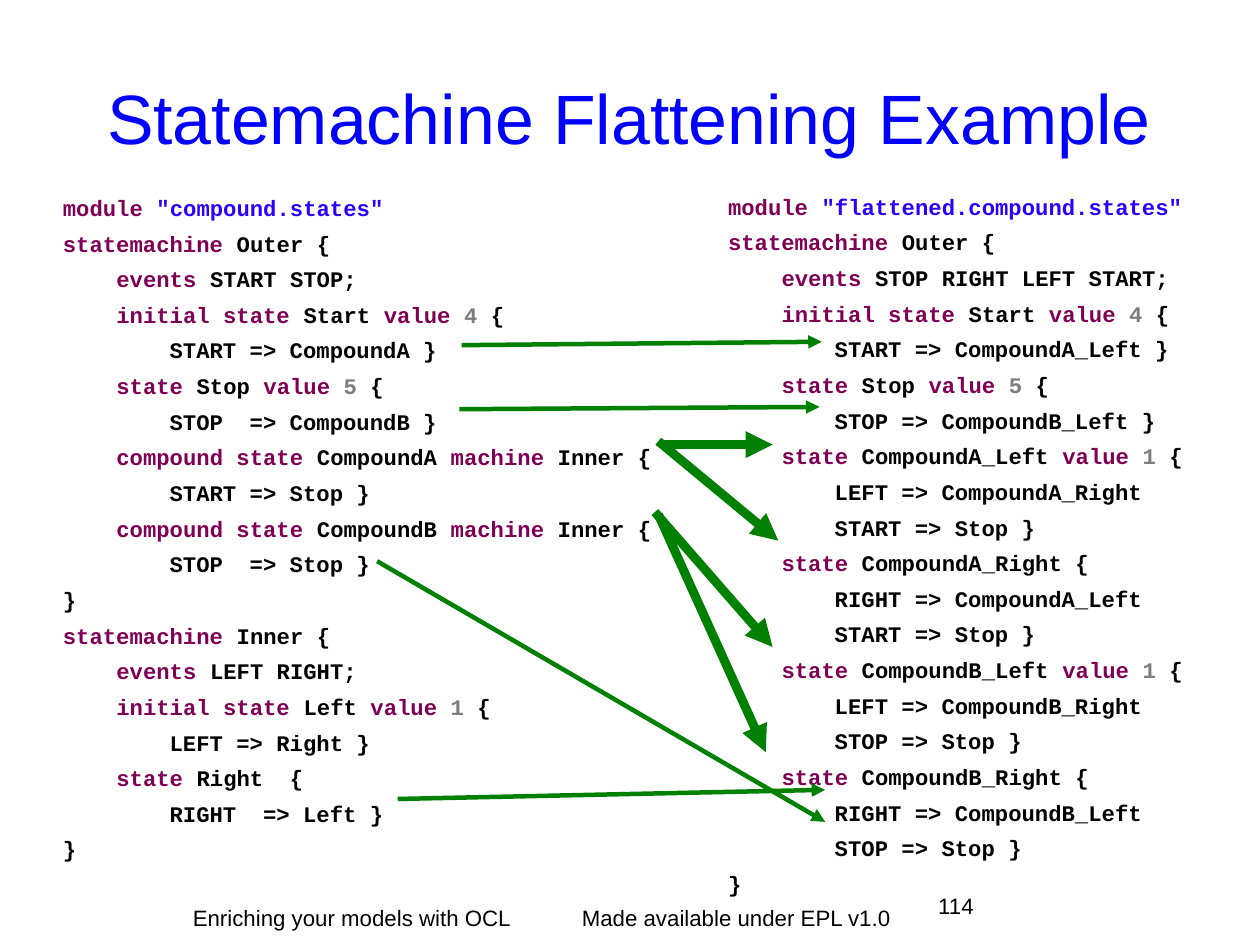
from itertools import groupby
from lxml.etree import SubElement
from pptx import Presentation
from pptx.dml.color import RGBColor
from pptx.enum.shapes import MSO_CONNECTOR
from pptx.enum.text import MSO_ANCHOR, PP_ALIGN
from pptx.oxml.ns import qn
from pptx.util import Emu, Inches, Pt

KEYS = "module statemachine events initial state value compound machine".split()

LEFT = '''module "compound.states"
statemachine Outer {
    events START STOP;
    initial state Start value 4 {
        START => CompoundA }
    state Stop value 5 {
        STOP  => CompoundB }
    compound state CompoundA machine Inner {
        START => Stop }
    compound state CompoundB machine Inner {
        STOP  => Stop }
}
statemachine Inner {
    events LEFT RIGHT;
    initial state Left value 1 {
        LEFT => Right }
    state Right  {
        RIGHT  => Left }
}'''

RIGHT = '''module "flattened.compound.states"
statemachine Outer {
    events STOP RIGHT LEFT START;
    initial state Start value 4 {
        START => CompoundA_Left }
    state Stop value 5 {
        STOP => CompoundB_Left }
    state CompoundA_Left value 1 {
        LEFT => CompoundA_Right
        START => Stop }
    state CompoundA_Right {
        RIGHT => CompoundA_Left
        START => Stop }
    state CompoundB_Left value 1 {
        LEFT => CompoundB_Right
        STOP => Stop }
    state CompoundB_Right {
        RIGHT => CompoundB_Left
        STOP => Stop }
}'''


def tint(word):
    word = word.strip()
    if word in KEYS:
        return "7F0055"
    if word.startswith('"'):
        return "2A00FF"
    return "7D7D7D" if word.isdigit() else "000000"


def add_run(para, text, size, face, color, bold=False):
    run = para.add_run()
    run.text = text
    run.font.size = Pt(size)
    run.font.name = face
    run.font.bold = bold
    run.font.color.rgb = RGBColor.from_string(color)


deck = Presentation()
deck.slide_width = Emu(10080625)
deck.slide_height = Emu(7559675)
slide = deck.slides.add_slide(deck.slide_layouts[5])
shapes = slide.shapes

title = shapes.title
title.left, title.top, title.width, title.height = map(Inches, (0.55, 0.38, 9.92, 1.28))
frame = title.text_frame
frame.margin_left = frame.margin_right = frame.margin_top = frame.margin_bottom = 0
frame.vertical_anchor = MSO_ANCHOR.MIDDLE
frame.paragraphs[0].alignment = PP_ALIGN.CENTER
add_run(frame.paragraphs[0], "Statemachine Flattening Example", 44, "Arial", "0000FF")

for code, area in ((LEFT, (0.55, 1.7, 5.51, 5.66)), (RIGHT, (6.37, 1.69, 4.13, 5.96))):
    frame = shapes.add_textbox(*map(Inches, area)).text_frame
    frame.margin_left = frame.margin_right = frame.margin_top = frame.margin_bottom = 0
    frame.word_wrap = True
    for row, line in enumerate(code.split("\n")):
        para = frame.add_paragraph() if row else frame.paragraphs[0]
        para.line_spacing = Pt(16.75)
        para.space_after = Pt(5.7)
        words = line.split(" ")
        parts = [word + " " for word in words[:-1]] + words[-1:]
        for color, group in groupby(parts, tint):
            add_run(para, "".join(group), 14, "Courier New", color, True)

THICK, THIN = 5.67, 2.83
for x1, y1, x2, y2, width in (
    (5.78, 3.89, 6.76, 3.89, THICK),
    (5.76, 3.86, 6.81, 4.73, THICK),
    (5.73, 4.48, 6.76, 5.66, THICK),
    (5.76, 4.5, 6.7, 6.58, THICK),
    (4.04, 3.02, 7.19, 2.99, THIN),
    (4.02, 3.58, 7.17, 3.56, THIN),
    (3.48, 6.99, 7.22, 6.91, THIN),
    (3.3, 4.91, 7.22, 7.19, THIN),
):
    arrow = shapes.add_connector(MSO_CONNECTOR.STRAIGHT, *map(Inches, (x1, y1, x2, y2)))
    arrow.line.color.rgb = RGBColor.from_string("008000")
    arrow.line.width = Pt(width)
    SubElement(arrow.line._get_or_add_ln(), qn("a:tailEnd"), type="triangle")
    SubElement(arrow._element.spPr, qn("a:effectLst"))

for text, area, align in (
    ("Made available under EPL v1.0", (5.09, 7.91, 2.79, 0.24), PP_ALIGN.LEFT),
    ("Enriching your models with OCL", (1.43, 7.91, 3.3, 0.28), PP_ALIGN.CENTER),
    ("114", (8.06, 7.81, 0.46, 0.39), PP_ALIGN.RIGHT),
):
    frame = shapes.add_textbox(*map(Inches, area)).text_frame
    frame.margin_left = frame.margin_right = frame.margin_top = frame.margin_bottom = 0
    frame.word_wrap = True
    frame.paragraphs[0].alignment = align
    add_run(frame.paragraphs[0], text, 14, "Arial", "000000")

deck.save("out.pptx")
